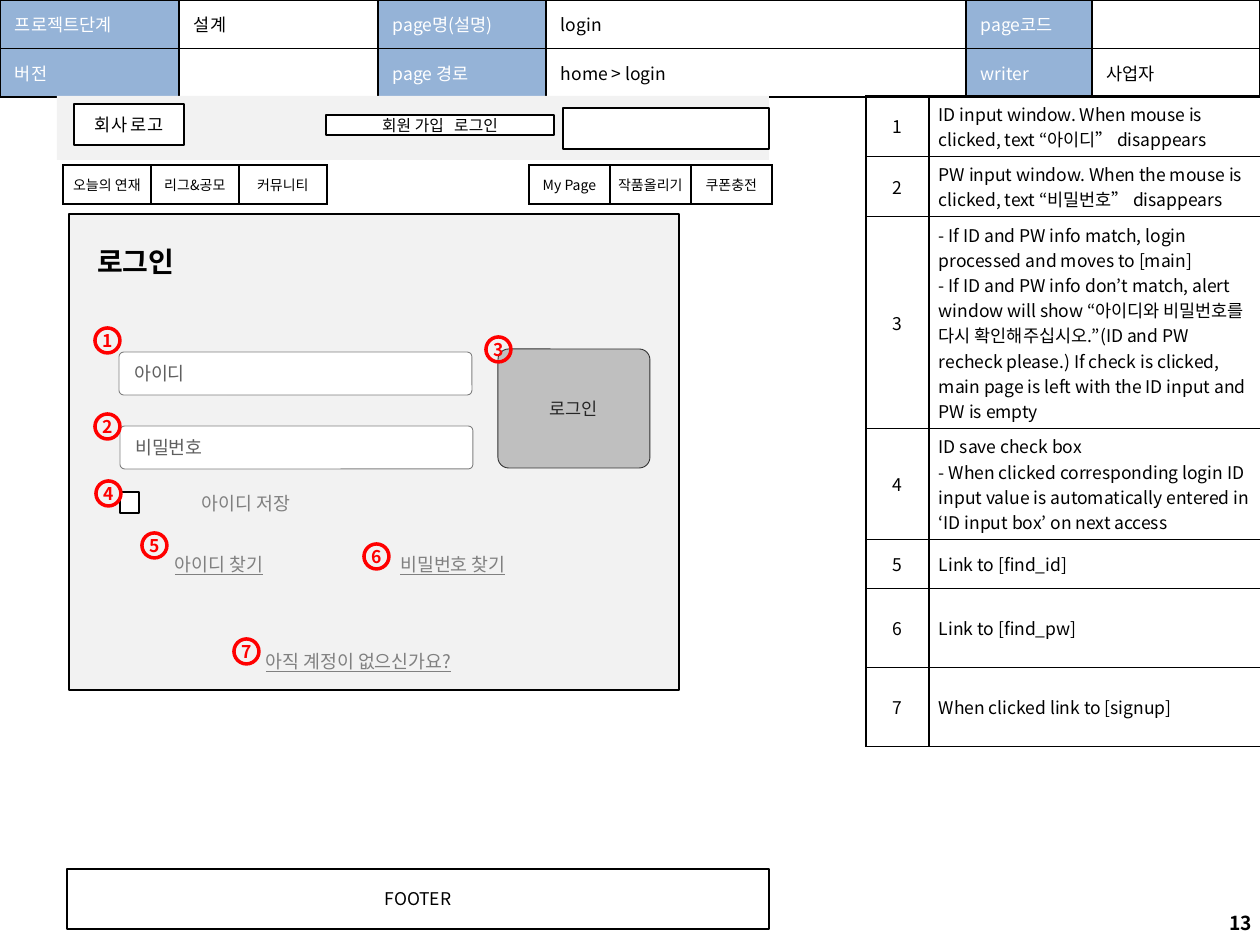
from pptx import Presentation
from pptx.dml.color import RGBColor
from pptx.enum.shapes import MSO_SHAPE as Shape
from pptx.enum.text import MSO_ANCHOR as Anchor, PP_ALIGN as Align
from pptx.oxml.ns import qn
from pptx.util import Emu, Pt
from lxml.etree import SubElement

PX = 914400 // 126
BLACK = RGBColor(0, 0, 0)
WHITE = RGBColor(255, 255, 255)
BLUE = RGBColor(0x95, 0xB3, 0xD7)
PALE = RGBColor(0xF2, 0xF2, 0xF2)
SILVER = RGBColor(0xBF, 0xBF, 0xBF)
GRAY = RGBColor(0x80, 0x80, 0x80)
HINT = RGBColor(0x5F, 0x5F, 0x5F)
DARK = RGBColor(0x33, 0x33, 0x33)
CHARCOAL = RGBColor(0x26, 0x26, 0x26)
RED = RGBColor(255, 0, 0)
NOTO = "Noto Sans CJK KR"

HEADER = [
    ["프로젝트단계", "설계", "page명(설명)", "login", "page코드", ""],
    ["버전", "", "page 경로", "home > login", "writer", "사업자"],
]
DESCRIPTIONS = [
    (60, ["ID input window. When mouse is clicked, text “아이디” disappears"]),
    (60, ["PW input window. When the mouse is clicked, text “비밀번호” disappears"]),
    (212, ["- If ID and PW info match, login processed and moves to [main]\n"
           "- If ID and PW info don’t match, alert window will show “아이디와 비밀번호를 "
           "다시 확인해주십시오.”(ID and PW recheck please.) If check is clicked, "
           "main page is left with the ID input and PW is empty"]),
    (111, ["ID save check box",
           "- When clicked corresponding login ID input value is automatically "
           "entered in ‘ID input box’ on next access"]),
    (49, ["Link to [find_id]"]),
    (79, ["Link to [find_pw]"]),
    (79, ["When clicked link to [signup]"]),
]
MENUS = [
    (63, 88, ["오늘의 연재", "리그&공모", "커뮤니티"]),
    (529, 81, ["My Page", "작품올리기", "쿠폰충전"]),
]
BOXES = [
    ((67, 869, 702, 60), WHITE, "FOOTER"),
    ((69, 214, 610, 476), PALE, ""),
    ((74, 104, 110, 41), WHITE, "회사 로고"),
    ((563, 108, 206, 41), WHITE, ""),
    ((120, 492, 19, 21), WHITE, ""),
]
INPUTS = [((119, 352), "아이디"), ((120, 426), "비밀번호")]
LABELS = [
    ((158, 493, 176, 20), "아이디 저장", False),
    ((131, 554, 176, 20), "아이디 찾기", True),
    ((365, 554, 176, 20), "비밀번호 찾기", True),
    ((175, 651, 367, 20), "아직 계정이 없으신가요?", True),
]
MARKERS = [(107, 340), (107, 426), (498, 349), (108, 493), (154, 545), (376, 556), (246, 651)]
MARKER_SIZE = 25


def px(*values):
    return [Emu(value * PX) for value in values]


def add_run(paragraph, text, size, color, font=NOTO, bold=False, underline=False):
    run = paragraph.add_run()
    run.text = text
    run.font.size = Pt(size)
    run.font.bold = bold
    run.font.underline = underline
    run.font.color.rgb = color
    run.font.name = font
    SubElement(run.font._element, qn("a:ea"), typeface=font)
    return run


def write(frame, texts, size=10, color=BLACK, align=Align.CENTER, **style):
    for index, text in enumerate(texts):
        paragraph = frame.paragraphs[0] if index == 0 else frame.add_paragraph()
        paragraph.alignment = align
        for line_index, line in enumerate(text.split("\n")):
            if line_index:
                paragraph.add_line_break()
            if line:
                add_run(paragraph, line, size, color, **style)


def prepare(frame, inset_x=0, inset_y=0):
    frame.word_wrap = True
    frame.vertical_anchor = Anchor.MIDDLE
    frame.margin_left, frame.margin_right = px(inset_x, inset_x)
    frame.margin_top, frame.margin_bottom = px(inset_y, inset_y)
    return frame


def add_box(slide, area, fill, line=BLACK, width=1, kind=Shape.RECTANGLE, radius=None):
    shape = slide.shapes.add_shape(kind, *px(*area))
    shape.shadow.inherit = False
    if radius is not None:
        shape.adjustments[0] = radius
    if fill is None:
        shape.fill.background()
    else:
        shape.fill.solid()
        shape.fill.fore_color.rgb = fill
    if line is None:
        shape.line.fill.background()
    else:
        shape.line.color.rgb = line
        shape.line.width = Pt(width)
    prepare(shape.text_frame)
    return shape


def add_text(slide, area, text, inset_x=0, inset_y=0, **style):
    frame = slide.shapes.add_textbox(*px(*area)).text_frame
    write(prepare(frame, inset_x, inset_y), [text], **style)


def add_grid(slide, left, top, columns, rows):
    table = slide.shapes.add_table(
        len(rows), len(columns), *px(left, top, sum(columns), sum(rows))).table
    table.first_row = table.horz_banding = False
    for column, width in zip(table.columns, columns):
        column.width = Emu(width * PX)
    for row, height in zip(table.rows, rows):
        row.height = Emu(height * PX)
    return table


def fill_cell(cell, texts, insets, fill=None, **style):
    cell.vertical_anchor = Anchor.MIDDLE
    cell.margin_left, cell.margin_top = px(*insets)
    cell.margin_right, cell.margin_bottom = px(*insets)
    properties = cell._tc.get_or_add_tcPr()
    for side in ("a:lnL", "a:lnR", "a:lnT", "a:lnB"):
        border = SubElement(properties, qn(side), w=str(Pt(1)))
        SubElement(SubElement(border, qn("a:solidFill")), qn("a:srgbClr"), val=str(BLACK))
    if fill is None:
        cell.fill.background()
    else:
        cell.fill.solid()
        cell.fill.fore_color.rgb = fill
    write(cell.text_frame, texts, **style)


def main():
    presentation = Presentation()
    presentation.slide_width, presentation.slide_height = px(1260, 945)
    slide = presentation.slides.add_slide(presentation.slide_layouts[6])

    header = add_grid(slide, 0, 0, [179, 199, 168, 420, 126, 168], [47, 47])
    for row, texts in enumerate(HEADER):
        for column, text in enumerate(texts):
            is_label = column % 2 == 0
            fill_cell(header.cell(row, column), [text], (15, 5), BLUE if is_label else None,
                      color=WHITE if is_label else BLACK, align=Align.LEFT)

    notes = add_grid(slide, 866, 96, [63, 334], [height for height, _ in DESCRIPTIONS])
    for row, (_, texts) in enumerate(DESCRIPTIONS):
        fill_cell(notes.cell(row, 0), [str(row + 1)], (10, 5))
        fill_cell(notes.cell(row, 1), texts, (10, 5), align=Align.LEFT)

    add_text(slide, (971, 898, 294, 50), "13", inset_x=13, size=11, bold=True, align=Align.RIGHT)
    add_box(slide, (57, 96, 712, 64), PALE, line=None)
    for area, fill, text in BOXES:
        write(add_box(slide, area, fill).text_frame, [text])

    account_links = add_box(slide, (326, 115, 228, 20), WHITE).text_frame.paragraphs[0]
    account_links.alignment = Align.CENTER
    add_run(account_links, "회원 가입", 9, BLACK)
    gap = add_run(account_links, " ", 9, BLACK)
    gap.font._element.set("spc", "400")
    add_run(account_links, "로그인", 9, BLACK)

    for left, width, texts in MENUS:
        menu = add_grid(slide, left, 165, [width] * len(texts), [39])
        for column, text in enumerate(texts):
            fill_cell(menu.cell(0, column), [text], (5, 6), WHITE, size=8)

    add_text(slide, (87, 238, 105, 47), "로그인", 10, 5, size=16, bold=True, align=Align.LEFT)
    for position, text in INPUTS:
        field = add_box(slide, (*position, 353, 43), WHITE, GRAY, 0.5,
                        Shape.ROUNDED_RECTANGLE, 0.11)
        write(prepare(field.text_frame, 14, 9), [text], 10.5, HINT, Align.LEFT, font="Roboto")
    button = add_box(slide, (498, 349, 152, 119), SILVER, DARK, 0.5,
                     Shape.ROUNDED_RECTANGLE, 0.09)
    write(button.text_frame, ["로그인"], color=CHARCOAL, font="Calibri")

    for area, text, underline in LABELS:
        add_text(slide, area, text, size=10.5, color=GRAY, underline=underline)
    for number, (x, y) in enumerate(MARKERS, 1):
        area = (x - MARKER_SIZE // 2, y - MARKER_SIZE // 2, MARKER_SIZE, MARKER_SIZE)
        marker = add_box(slide, area, None, RED, 2, Shape.OVAL)
        write(marker.text_frame, [str(number)], color=RED, bold=True)

    presentation.save("out.pptx")


if __name__ == "__main__":
    main()
